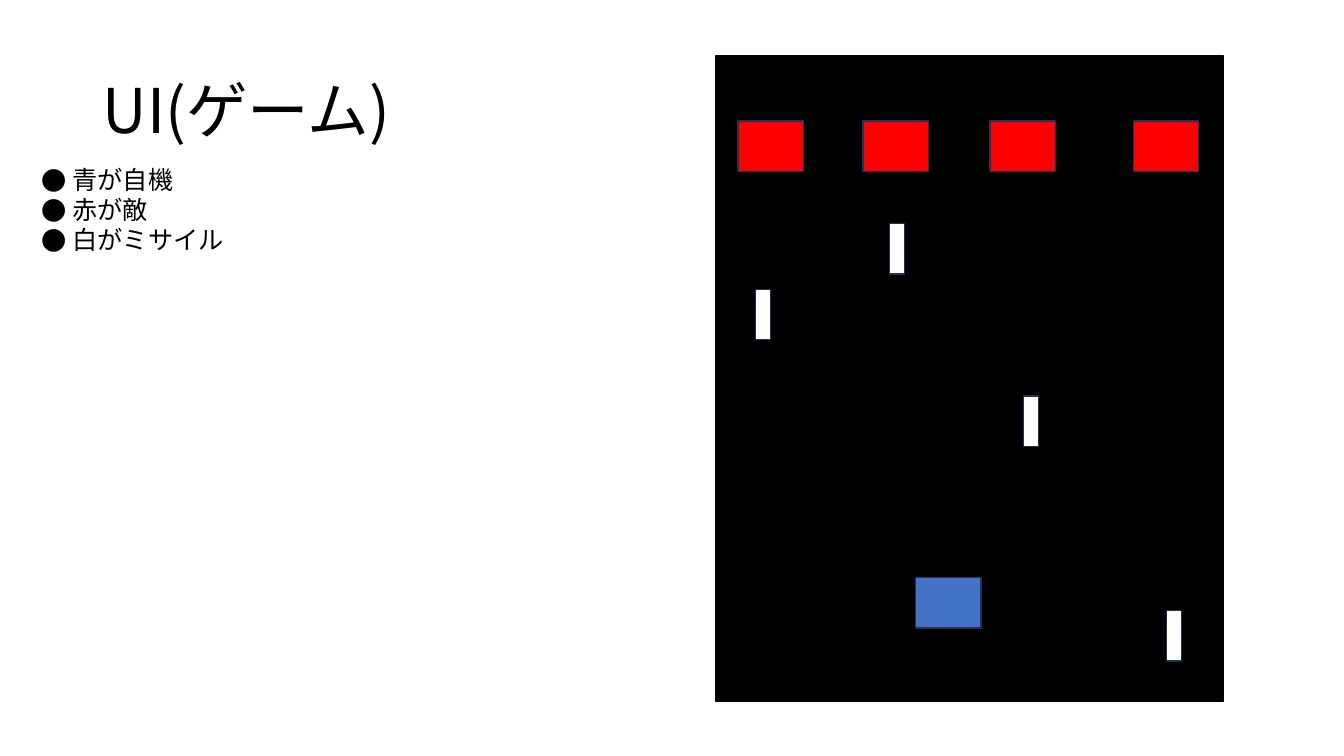
from dataclasses import dataclass

from lxml.etree import SubElement
from pptx import Presentation
from pptx.dml.color import RGBColor
from pptx.enum.shapes import MSO_SHAPE
from pptx.enum.text import MSO_ANCHOR
from pptx.oxml.ns import qn
from pptx.slide import Slide
from pptx.util import Inches, Pt


@dataclass(frozen=True)
class Theme:
    font: str = "Noto Sans CJK JP"
    ink: str = "000000"
    space: str = "000000"
    ship: str = "4472C4"
    enemy: str = "FF0000"
    shot: str = "FFFFFF"
    edge: str = "1E3256"
    title: int = 44
    body: int = 18
    line: int = 1


@dataclass(frozen=True)
class Box:
    left: float
    top: float
    width: float
    height: float

    def place(self) -> list[int]:
        return [Inches(n) for n in (self.left, self.top, self.width, self.height)]


@dataclass(frozen=True)
class Block:
    box: Box
    fill: str
    edge: str


THEME = Theme()
FIELD = Block(Box(7.1, 0.55, 5.03, 6.41), THEME.space, THEME.space)
SHIP = Block(Box(9.08, 5.73, 0.65, 0.5), THEME.ship, THEME.edge)
ENEMIES = [
    Block(Box(left, 1.2, 0.65, 0.5), THEME.enemy, THEME.edge)
    for left in (7.32, 8.56, 9.82, 11.24)
]
SHOTS = [
    Block(Box(left, top, 0.15, 0.5), THEME.shot, THEME.edge)
    for left, top in ((8.82, 2.22), (7.49, 2.87), (10.15, 3.93), (11.57, 6.06))
]


def add_block(slide: Slide, block: Block) -> None:
    shape = slide.shapes.add_shape(MSO_SHAPE.RECTANGLE, *block.box.place())
    shape.shadow.inherit = False
    shape.fill.solid()
    shape.fill.fore_color.rgb = RGBColor.from_string(block.fill)
    shape.line.color.rgb = RGBColor.from_string(block.edge)
    shape.line.width = Pt(THEME.line)


def add_text(
    slide: Slide,
    box: Box,
    text: str,
    *,
    size: int,
    anchor: MSO_ANCHOR = MSO_ANCHOR.TOP,
    space: float = 1.0,
    bullet: str = "",
    indent: float = 0.31,
) -> None:
    frame = slide.shapes.add_textbox(*box.place()).text_frame
    frame.word_wrap = True
    frame.vertical_anchor = anchor
    frame.text = text
    for para in frame.paragraphs:
        para.line_spacing = space
        if bullet:
            props = para._p.get_or_add_pPr()
            props.set("marL", str(Inches(indent)))
            props.set("indent", str(-Inches(indent)))
            SubElement(props, qn("a:buFont"), typeface=THEME.font)
            SubElement(props, qn("a:buChar"), char=bullet)
        for run in para.runs:
            run.font.size = Pt(size)
            run.font.color.rgb = RGBColor.from_string(THEME.ink)
            run.font.name = THEME.font
            SubElement(run._r.get_or_add_rPr(), qn("a:ea"), typeface=THEME.font)


def main() -> None:
    deck = Presentation()
    deck.slide_width = Inches(13.33)
    deck.slide_height = Inches(7.5)
    slide = deck.slides.add_slide(deck.slide_layouts[6])
    add_text(
        slide,
        Box(0.92, 0.4, 6.19, 1.45),
        "UI(ゲーム)",
        size=THEME.title,
        anchor=MSO_ANCHOR.MIDDLE,
        space=0.9,
    )
    add_text(
        slide,
        Box(0.31, 1.58, 5.95, 1.01),
        "青が自機\n赤が敵\n白がミサイル",
        size=THEME.body,
        bullet="●",
    )
    for block in (FIELD, SHIP, *ENEMIES, *SHOTS):
        add_block(slide, block)
    deck.save("out.pptx")


if __name__ == "__main__":
    main()
